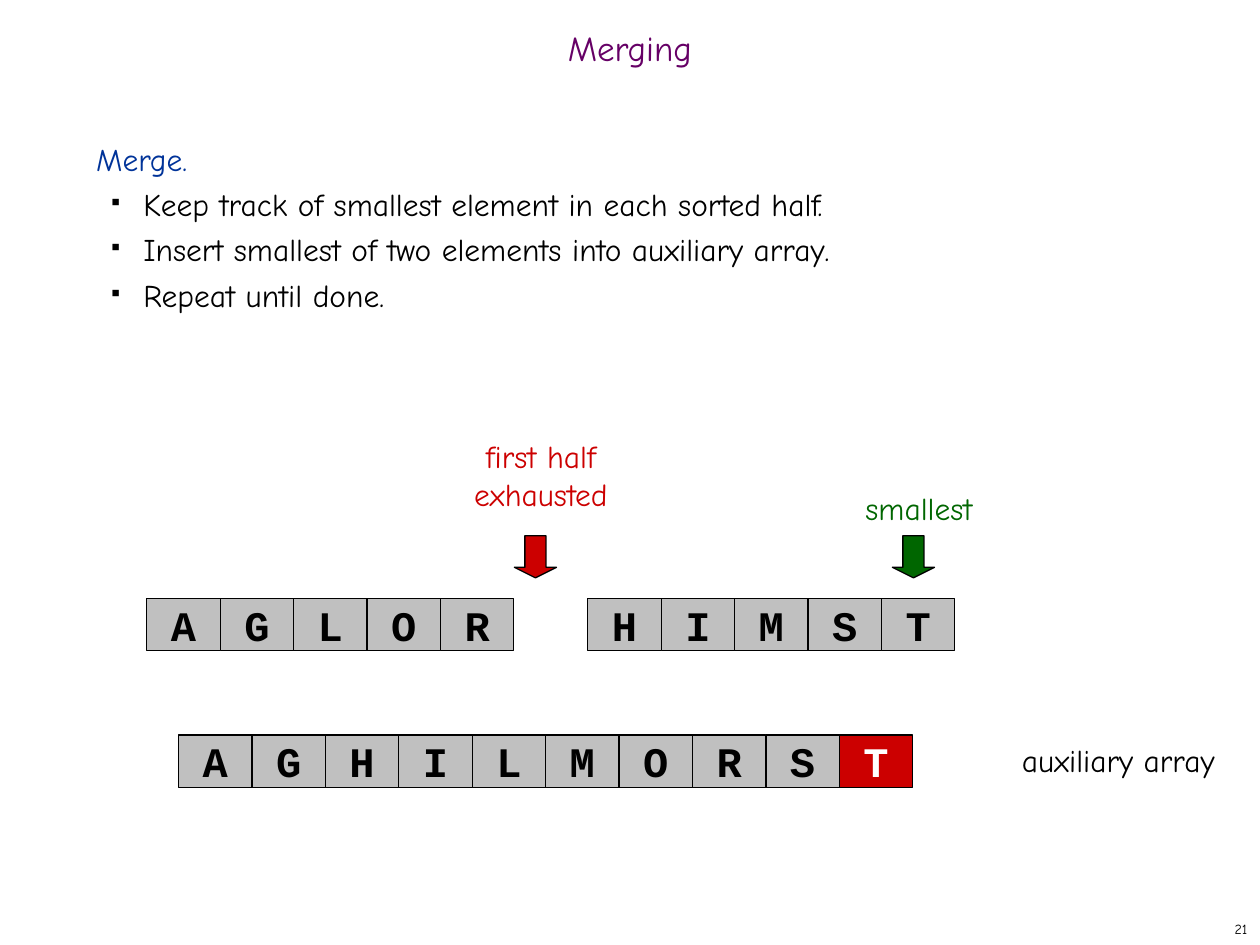
from lxml import etree
from pptx import Presentation
from pptx import util as u
from pptx.dml.color import RGBColor
from pptx.enum import shapes, text
from pptx.oxml.ns import qn

BODY_FONT, CELL_FONT = "Comic Neue", "Courier New"
BLACK, WHITE, GRAY = "000000", "FFFFFF", "C0C0C0"
RED, GREEN, BLUE, PURPLE = "CC0000", "006600", "003399", "660066"
CELL_WIDTH, CELL_HEIGHT = 1.48, 1.05
LEFT, CENTER, RIGHT = text.PP_ALIGN.LEFT, text.PP_ALIGN.CENTER, text.PP_ALIGN.RIGHT
TOP, MIDDLE = text.MSO_ANCHOR.TOP, text.MSO_ANCHOR.MIDDLE


def color(value):
    return RGBColor.from_string(value)


def box(left, top, width, height):
    return [u.Cm(length) for length in (left, top, width, height)]


def write(paragraph, content, size=18, font=BODY_FONT, fill=BLACK, bold=False,
          align=LEFT, line_spacing=None, before=0):
    paragraph.text = content
    paragraph.alignment = align
    paragraph.space_before = u.Pt(before)
    if line_spacing:
        paragraph.line_spacing = line_spacing
    for run in paragraph.runs:
        run.font.size = u.Pt(size)
        run.font.name = font
        run.font.bold = bold
        run.font.color.rgb = color(fill)


def set_frame(shape, anchor):
    frame = shape.text_frame
    frame.word_wrap = True
    frame.auto_size = text.MSO_AUTO_SIZE.NONE
    frame.vertical_anchor = anchor
    return frame


def add_text(slide, place, content, anchor=TOP, **format):
    frame = set_frame(slide.shapes.add_textbox(*box(*place)), anchor)
    write(frame.paragraphs[0], content, **format)
    return frame


def add_shape(slide, kind, place, fill):
    shape = slide.shapes.add_shape(kind, *box(*place))
    shape.shadow.inherit = False
    shape.fill.solid()
    shape.fill.fore_color.rgb = color(fill)
    shape.line.color.rgb = color(BLACK)
    shape.line.width = u.Pt(0.75)
    return shape


def add_bullet(paragraph):
    properties = paragraph._p.get_or_add_pPr()
    properties.set("marL", str(u.Cm(0.95)))
    properties.set("indent", str(u.Cm(-0.64)))
    bullet_color = etree.SubElement(properties, qn("a:buClr"))
    etree.SubElement(bullet_color, qn("a:srgbClr"), val=BLACK)
    etree.SubElement(properties, qn("a:buSzPct"), val="35000")
    etree.SubElement(properties, qn("a:buChar"), char="■")


def add_array(slide, left, top, letters, highlight=None):
    for index, letter in enumerate(letters):
        marked = index == highlight
        place = (left + index * CELL_WIDTH, top, CELL_WIDTH, CELL_HEIGHT)
        cell = add_shape(slide, shapes.MSO_SHAPE.RECTANGLE, place, RED if marked else GRAY)
        write(set_frame(cell, MIDDLE).paragraphs[0], letter, size=24, font=CELL_FONT,
              fill=WHITE if marked else BLACK, bold=True, align=CENTER)


def add_pointer(slide, label_place, label, arrow_left, fill):
    add_text(slide, label_place, label, fill=fill, align=CENTER, before=11.2)
    arrow = add_shape(slide, shapes.MSO_SHAPE.DOWN_ARROW, (arrow_left, 10.8, 0.85, 0.85), fill)
    arrow.adjustments[0], arrow.adjustments[1] = 0.5, 0.25


def add_title(slide, content):
    title = slide.shapes.title
    title.left, title.top, title.width, title.height = box(0, 0.42, 25.4, 1.27)
    write(set_frame(title, MIDDLE).paragraphs[0], content, size=20, fill=PURPLE,
          align=CENTER, line_spacing=0.7)


def add_steps(slide, heading, steps):
    spacing = u.Pt(25.9)
    frame = add_text(slide, (1.69, 2.54, 21.8, 15.03), heading, fill=BLUE, line_spacing=spacing)
    for step in steps:
        paragraph = frame.add_paragraph()
        paragraph.level = 1
        write(paragraph, step, line_spacing=spacing)
        add_bullet(paragraph)


def main():
    presentation = Presentation()
    presentation.slide_width, presentation.slide_height = u.Cm(25.4), u.Cm(19.05)
    slide = presentation.slides.add_slide(presentation.slide_layouts[5])

    # Title and explanation
    add_title(slide, "Merging")
    add_steps(slide, "Merge.", [
        "Keep track of smallest element in each sorted half.",
        "Insert smallest of two elements into auxiliary array.",
        "Repeat until done.",
    ])

    # Pointers into the sorted halves
    add_pointer(slide, (8.26, 8.68, 5.29, 1.77), "first half\vexhausted", 10.37, RED)
    add_pointer(slide, (15.88, 9.74, 5.29, 1.02), "smallest", 17.99, GREEN)

    # Sorted halves and merged result
    add_array(slide, 2.96, 12.07, "AGLOR")
    add_array(slide, 11.85, 12.07, "HIMST")
    add_array(slide, 3.6, 14.82, "AGHILMORST", highlight=9)
    add_text(slide, (20.11, 14.82, 4.87, 1.02), "auxiliary array", align=CENTER, before=11.2)

    # Page number
    add_text(slide, (20.11, 18.42, 5.29, 0.63), "21", anchor=MIDDLE, size=8, align=RIGHT)

    presentation.save("out.pptx")


main()
